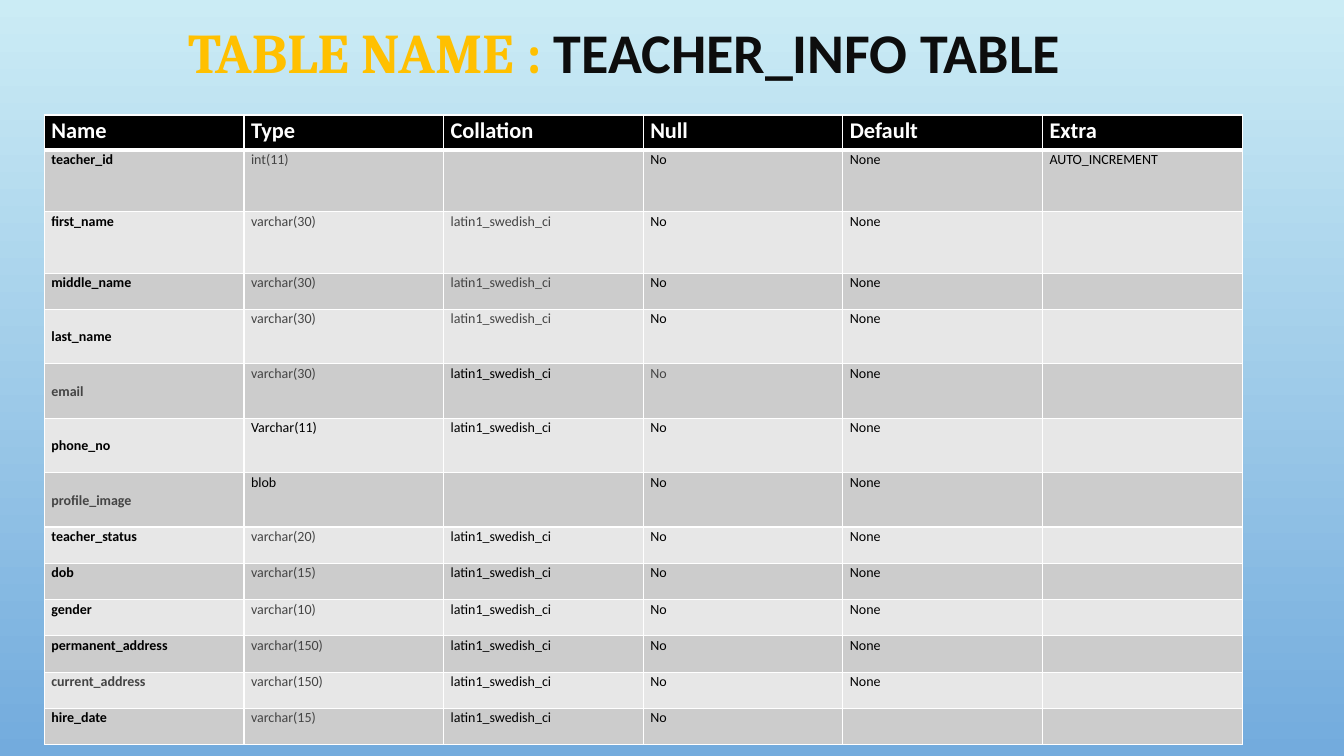
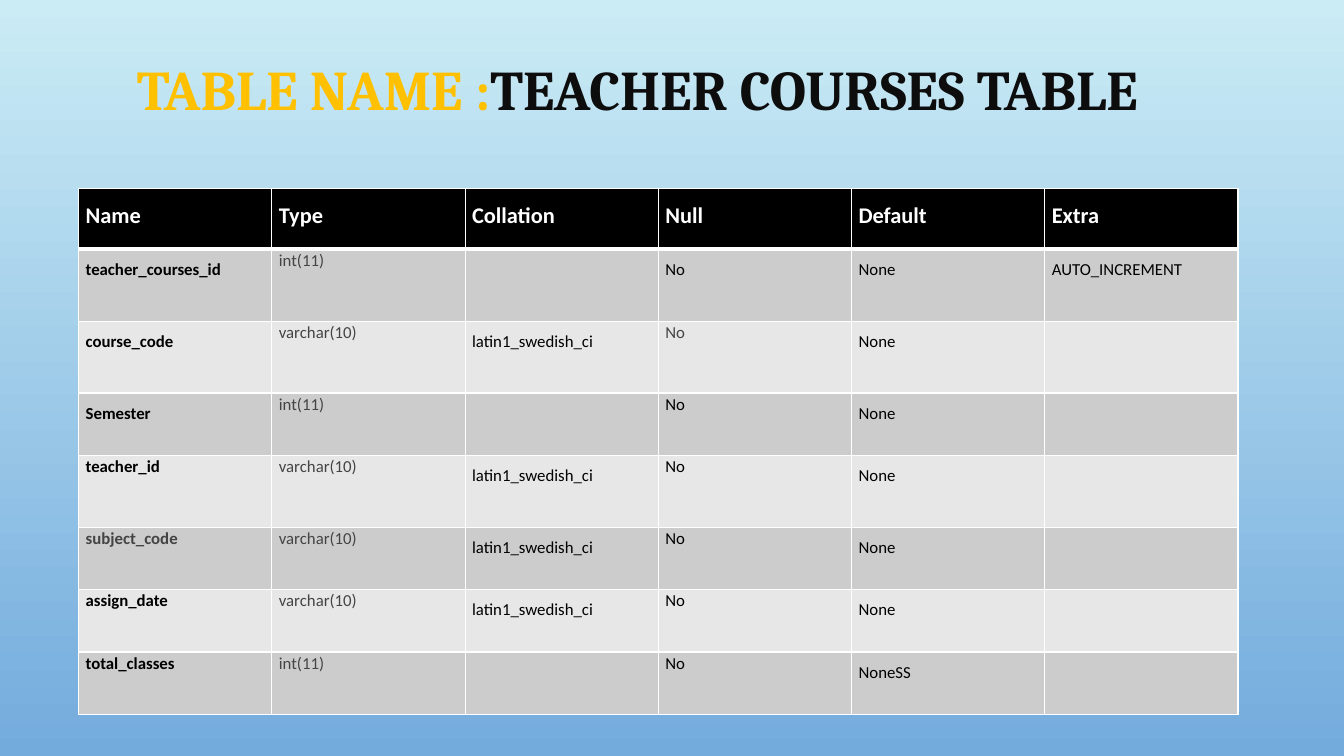
from dataclasses import dataclass
from lxml.etree import SubElement
from pptx import Presentation
from pptx.dml.color import RGBColor
from pptx.enum.text import MSO_ANCHOR, PP_ALIGN
from pptx.oxml.ns import qn
from pptx.util import Inches, Pt

COLUMNS = ("Name", "Type", "Collation", "Null", "Default", "Extra")
LATIN = "latin1_swedish_ci"
HEADING, BODY = "Cambria", "Calibri"
GOLD, INK, BLACK, GREY, WHITE = "FFC000", "0D0D0D", "000000", "444444", "FFFFFF"
BANDS = ("CCCCCC", "E7E7E7")
SKY = ("CBECF5", "73ABDD")
SINGLE, LOOSE = 1.07, 1.5


@dataclass
class Field:
    """One described column of a database table, with its row's formatting."""
    name: str
    type: str
    height: float
    collation: str = LATIN
    null: str = "No"
    default: str = "None"
    extra: str = ""
    grey: str = "Type"
    loose: str = ""
    name_anchor: MSO_ANCHOR = MSO_ANCHOR.TOP

    def texts(self):
        """Return the cell texts in column order."""
        return (self.name, self.type, self.collation, self.null, self.default, self.extra)


MIDDLE = MSO_ANCHOR.MIDDLE
TEACHER_FIELDS = [
    Field("teacher_id", "int(11)", 0.61, "", extra="AUTO_INCREMENT"),
    Field("first_name", "varchar(30)", 0.61, grey="Type Collation"),
    Field("middle_name", "varchar(30)", 0.36, grey="Type Collation"),
    Field("last_name", "varchar(30)", 0.54, grey="Type Collation", name_anchor=MIDDLE),
    Field("email", "varchar(30)", 0.54, grey="Name Type Null", name_anchor=MIDDLE),
    Field("phone_no", "Varchar(11)", 0.54, grey="", name_anchor=MIDDLE),
    Field("profile_image", "blob", 0.54, "", grey="Name", name_anchor=MIDDLE),
    Field("teacher_status", "varchar(20)", 0.36),
    Field("dob", "varchar(15)", 0.36),
    Field("gender", "varchar(10)", 0.36),
    Field("permanent_address", "varchar(150)", 0.36),
    Field("current_address", "varchar(150)", 0.36, grey="Name Type"),
    Field("hire_date", "varchar(15)", 0.36, default=""),
]
COURSE_FIELDS = [
    Field("teacher_courses_id", "int(11)", 0.72, "", extra="AUTO_INCREMENT",
          loose="Name Null Default Extra"),
    Field("course_code", "varchar(10)", 0.71, grey="Type Null", loose="Name Collation Default"),
    Field("Semester", "int(11)", 0.62, "", loose="Name Default"),
    Field("teacher_id", "varchar(10)", 0.71, loose="Collation Default"),
    Field("subject_code", "varchar(10)", 0.62, grey="Name Type", loose="Collation Default"),
    Field("assign_date", "varchar(10)", 0.62, loose="Collation Default"),
    Field("total_classes", "int(11)", 0.62, "", default="NoneSS", loose="Default"),
]


def rgb(value):
    """Turn a hex string into a colour."""
    return RGBColor.from_string(value)


def add_span(para, text, size, font, colour, bold):
    """Add one formatted run to a paragraph."""
    span = para.add_run()
    span.text = text
    span.font.size = Pt(size)
    span.font.name = font
    span.font.bold = bold
    span.font.color.rgb = rgb(colour)


def paint_background(page):
    """Fill the background with the sky gradient, top to bottom."""
    fill = page.background.fill
    fill.gradient()
    fill.gradient_angle = 270
    for stop, colour in zip(fill.gradient_stops, SKY):
        stop.color.rgb = rgb(colour)


def set_borders(cell, top, bottom):
    """Draw white cell borders, with the given widths above and below."""
    properties = cell._tc.get_or_add_tcPr()
    for side, width in (("L", 1), ("R", 1), ("T", top), ("B", bottom)):
        line = SubElement(properties, qn(f"a:ln{side}"), w=str(Pt(width)))
        fill = SubElement(line, qn("a:solidFill"))
        SubElement(fill, qn("a:srgbClr"), val=WHITE)


def style_cell(cell, row, fill):
    """Set a cell's borders, fill and margins."""
    set_borders(cell, top=3 if row == 1 else 1, bottom=3 if row == 0 else 1)
    cell.fill.solid()
    cell.fill.fore_color.rgb = rgb(fill)
    cell.margin_left = cell.margin_right = Inches(0.07)
    cell.margin_top = cell.margin_bottom = 0


def write_cell(cell, text, size, colour, bold, spacing):
    """Write one line of text into a cell, if there is any."""
    if text:
        para = cell.text_frame.paragraphs[0]
        para.line_spacing = spacing
        add_span(para, text, size, BODY, colour, bold)


def add_title(page, box, label, name, name_font):
    """Place the title: a gold label followed by the table name."""
    title = page.shapes.title
    title.left, title.top, title.width, title.height = map(Inches, box)
    frame = title.text_frame
    frame.word_wrap = True
    frame.vertical_anchor = MIDDLE
    para = frame.paragraphs[0]
    para.alignment = PP_ALIGN.CENTER
    para.line_spacing = 0.9
    add_span(para, label, 40, HEADING, GOLD, True)
    add_span(para, name, 40, name_font, INK, True)


def add_field_table(page, box, fields, header_height, header_spacing, size):
    """Place the table of fields under a black header row."""
    left, top, width = box
    heights = [header_height] + [field.height for field in fields]
    table = page.shapes.add_table(len(heights), len(COLUMNS), Inches(left), Inches(top),
                                  Inches(width), Inches(sum(heights))).table
    for row, height in zip(table.rows, heights):
        row.height = Inches(height)
    for index, heading in enumerate(COLUMNS):
        table.columns[index].width = Inches(width / len(COLUMNS))
        cell = table.cell(0, index)
        style_cell(cell, 0, BLACK)
        write_cell(cell, heading, 16, WHITE, True, header_spacing)
    for row, field in enumerate(fields, 1):
        for index, (column, text) in enumerate(zip(COLUMNS, field.texts())):
            cell = table.cell(row, index)
            style_cell(cell, row, BANDS[(row - 1) % 2])
            colour = GREY if column in field.grey.split() else BLACK
            spacing = LOOSE if column in field.loose.split() else SINGLE
            write_cell(cell, text, size, colour, column == "Name", spacing)
        table.cell(row, 0).vertical_anchor = field.name_anchor


def main():
    """Build and save the two slides."""
    deck = Presentation()
    deck.slide_width, deck.slide_height = Inches(13.33), Inches(7.5)
    paint_background(deck.slide_master)
    layout = deck.slide_layouts.get_by_name("Title Only")

    page = deck.slides.add_slide(layout)
    add_title(page, (0.44, 0.16, 11.5, 0.78), "TABLE NAME : ", "TEACHER_INFO TABLE", BODY)
    add_field_table(page, (0.44, 1.14, 11.88), TEACHER_FIELDS, 0.35, SINGLE, 10)

    page = deck.slides.add_slide(layout)
    add_title(page, (0.57, 0.19, 11.5, 1.45), "TABLE NAME :", "TEACHER COURSES TABLE", HEADING)
    add_field_table(page, (0.78, 1.87, 11.5), COURSE_FIELDS, 0.6, LOOSE, 12)

    deck.save("out.pptx")


if __name__ == "__main__":
    main()
